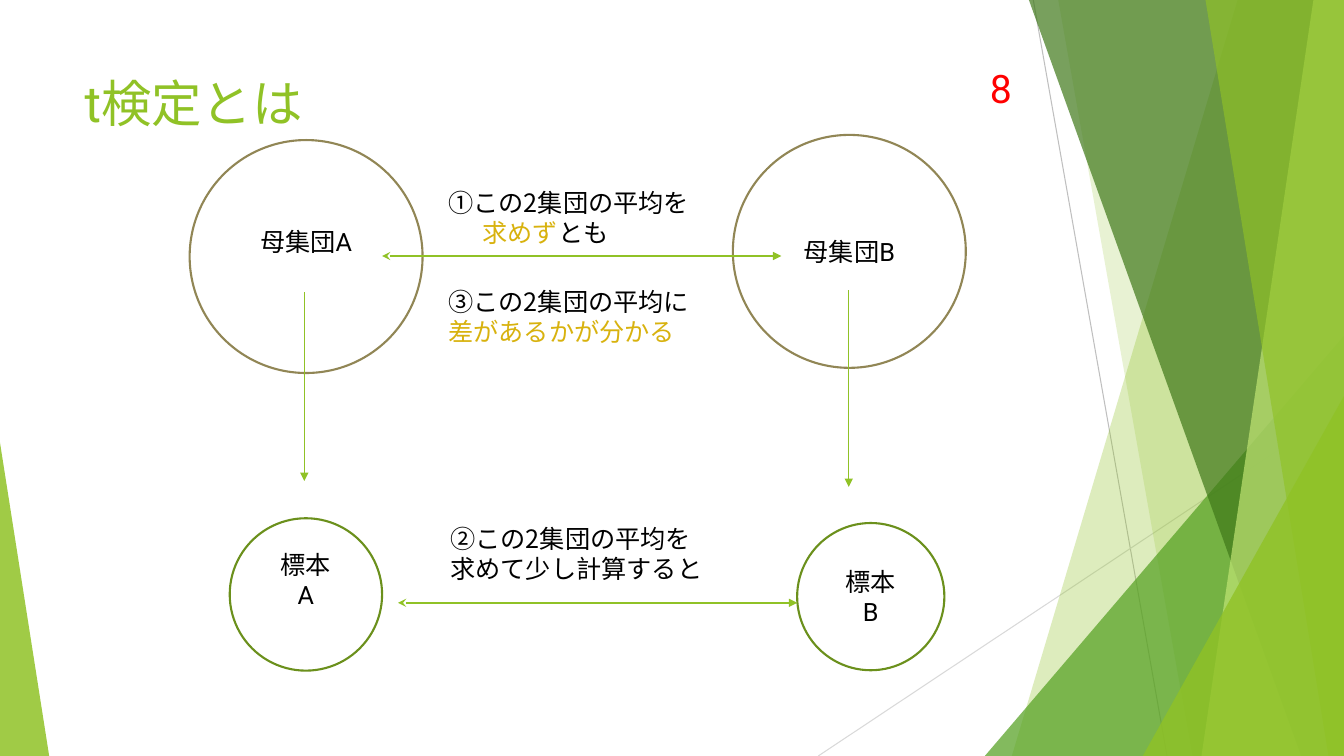
import pptx
import pptx.dml.color
import pptx.enum.shapes
import pptx.enum.text
import pptx.oxml
import pptx.oxml.ns
import pptx.util

Cm = pptx.util.Cm
Pt = pptx.util.Pt
RGBColor = pptx.dml.color.RGBColor
SHAPE = pptx.enum.shapes.MSO_SHAPE
ALIGN = pptx.enum.text.PP_ALIGN
ANCHOR = pptx.enum.text.MSO_ANCHOR

LIME = RGBColor(0x90, 0xC2, 0x26)
GREEN = RGBColor(0x54, 0xA0, 0x21)
FOREST = RGBColor(0x3F, 0x78, 0x19)
PALE_LIME = RGBColor(0xC0, 0xE4, 0x74)
OLIVE = RGBColor(0x6B, 0x90, 0x1C)
KHAKI = RGBColor(0x91, 0x86, 0x55)
GOLD = RGBColor(0xD8, 0xB2, 0x0E)
GRAY = RGBColor(0xBF, 0xBF, 0xBF)
LIGHT_GRAY = RGBColor(0xD9, 0xD9, 0xD9)
BLACK = RGBColor(0, 0, 0)
WHITE = RGBColor(255, 255, 255)
RED = RGBColor(255, 0, 0)

LATIN_FONT = "Roboto"
JAPANESE_FONT = "Noto Sans CJK JP"
WIDTH, HEIGHT = 33.87, 19.05
LINE_HEIGHT = 0.76


def add_child(parent, tag, **attributes):
    """Append a DrawingML element with the given attributes."""
    child = pptx.oxml.parse_xml(f"<a:{tag} {pptx.oxml.ns.nsdecls('a')}/>")
    for name, value in attributes.items():
        child.set(name, str(value))
    parent.append(child)


def write(para, text, *, size=18, font=LATIN_FONT, color=BLACK):
    """Add a formatted span to a paragraph."""
    span = para.add_run()
    span.text = text
    span.font.size = Pt(size)
    span.font.name = font
    span.font.color.rgb = color
    add_child(span.font._element, "ea", typeface=JAPANESE_FONT)


class SlidePainter:
    """Holds the style and the page being drawn."""

    def __init__(self, page):
        """Keep the page to draw on."""
        self.page = page
        self.shapes = page.shapes

    def title(self, text, left, top, width, height):
        """Place and format the title placeholder."""
        box = self.shapes.title
        box.left, box.top, box.width, box.height = map(Cm, (left, top, width, height))
        frame = box.text_frame
        frame.vertical_anchor = ANCHOR.TOP
        frame.paragraphs[0].alignment = ALIGN.LEFT
        write(frame.paragraphs[0], text, size=36, color=LIME)

    def paint(self, shape, color, opacity):
        """Fill a borderless shape with a translucent colour."""
        shape.shadow.inherit = False
        shape.line.fill.background()
        shape.fill.solid()
        shape.fill.fore_color.rgb = color
        solid = shape._element.spPr.find(pptx.oxml.ns.qn("a:solidFill"))
        add_child(solid[0], "alpha", val=opacity * 1000)

    def band(self, top_x, bottom_x, color, opacity):
        """Draw a slanted band that reaches the right edge."""
        builder = self.shapes.build_freeform(Cm(top_x), 0)
        corners = [(WIDTH, 0), (WIDTH, HEIGHT), (bottom_x, HEIGHT)]
        builder.add_line_segments([(Cm(x), Cm(y)) for x, y in corners])
        self.paint(builder.convert_to_shape(), color, opacity)

    def triangle(self, left, top, width, apex, color, opacity):
        """Draw a triangle that stands on the bottom edge."""
        shape = self.shapes.add_shape(
            SHAPE.ISOSCELES_TRIANGLE, Cm(left), Cm(top), Cm(width), Cm(HEIGHT - top))
        shape.adjustments[0] = apex
        self.paint(shape, color, opacity)

    def line(self, start, end, color=LIME, weight=1, head=None, tail=None):
        """Draw a straight line with optional arrowheads."""
        line = self.shapes.add_connector(
            pptx.enum.shapes.MSO_CONNECTOR.STRAIGHT, *map(Cm, (*start, *end)))
        line.line.color.rgb = color
        line.line.width = Pt(weight)
        for tag, kind in (("headEnd", head), ("tailEnd", tail)):
            if kind:
                add_child(line.line._get_or_add_ln(), tag, type=kind)
        add_child(line._element.spPr, "effectLst")

    def circle(self, lines, left, top, size, color, raised=False):
        """Draw an outlined circle, its label raised by half a line if asked."""
        shape = self.shapes.add_shape(SHAPE.OVAL, *map(Cm, (left, top, size, size)))
        shape.shadow.inherit = False
        shape.fill.solid()
        shape.fill.fore_color.rgb = WHITE
        shape.line.color.rgb = color
        shape.line.width = Pt(1.5)
        frame = shape.text_frame
        frame.vertical_anchor = ANCHOR.MIDDLE
        if raised:
            frame.margin_bottom = Cm(0.13 + LINE_HEIGHT)
        for index, text in enumerate(lines):
            para = frame.add_paragraph() if index else frame.paragraphs[0]
            para.alignment = ALIGN.CENTER
            write(para, text)

    def text(self, lines, left, top, width, height, align=ALIGN.LEFT,
             anchor=ANCHOR.TOP, indent=0, **style):
        """Add a text box of lines, each a list of (text, colour) spans."""
        box = self.shapes.add_textbox(*map(Cm, (left, top, width, height)))
        frame = box.text_frame
        frame.word_wrap = True
        frame.vertical_anchor = anchor
        for index, spans in enumerate(lines):
            para = frame.add_paragraph() if index else frame.paragraphs[0]
            para.alignment = align
            if index and indent:
                para._p.get_or_add_pPr().set("indent", str(Cm(indent)))
            for text, color in spans:
                write(para, text, color=color, **style)


def main():
    """Build the slide and save it."""
    deck = pptx.Presentation()
    deck.slide_width, deck.slide_height = Cm(WIDTH), Cm(HEIGHT)
    painter = SlidePainter(deck.slides.add_slide(deck.slide_layouts[5]))

    painter.line((26.04, 0), (29.41, HEIGHT), GRAY, 0.75)
    painter.line((WIDTH, 10.24), (20.62, HEIGHT), LIGHT_GRAY, 0.75)
    painter.band(31.19, 25.5, LIME, 30)
    painter.band(26.67, 30.05, LIME, 20)
    painter.triangle(24.82, 8.46, 9.05, 1, GREEN, 72)
    painter.band(25.93, 32.79, FOREST, 70)
    painter.band(33.1, 30.28, PALE_LIME, 70)
    painter.band(30.38, 33.48, LIME, 65)
    painter.triangle(28.8, 9.98, 5.07, 1, LIME, 80)
    painter.triangle(0, 11.15, 1.24, 0, LIME, 85)

    painter.title("t検定とは", 1.88, 1.7, 23.88, 3.66)
    painter.circle(["母集団B"], 18.47, 3.4, 5.87, KHAKI)
    painter.circle(["母集団A"], 4.78, 3.53, 5.87, KHAKI, raised=True)
    painter.circle(["標本", "A"], 5.79, 13.06, 3.84, OLIVE, raised=True)
    painter.circle(["標本", "B"], 20.09, 13.18, 3.71, OLIVE)

    for left, right, y in ((9.63, 19.69, 6.45), (10.03, 20.09, 15.19)):
        painter.line((left, y), (right, y), head="stealth", tail="triangle")
    for x, top, bottom in ((7.67, 7.37, 12.12), (21.39, 7.32, 12.27)):
        painter.line((x, top), (x, bottom), tail="triangle")

    painter.text([[("①この2集団の平均を", BLACK)], [("求めず", GOLD), ("とも", BLACK)]],
                 11.05, 4.6, 7.01, 1.8, indent=0.86, font=JAPANESE_FONT)
    painter.text([[("②この2集団の平均を", BLACK)], [("求めて少し計算すると", BLACK)]],
                 11.1, 13.06, 7.92, 1.8, font=JAPANESE_FONT)
    painter.text([[("③この2集団の平均に", BLACK)], [("差があるかが分かる", GOLD)]],
                 11.05, 7.09, 7.92, 1.8, font=JAPANESE_FONT)
    painter.text([[("8", RED)]], 23.85, 1.7, 1.9, 1.02,
                 align=ALIGN.RIGHT, anchor=ANCHOR.MIDDLE, size=28)
    deck.save("out.pptx")


if __name__ == "__main__":
    main()
